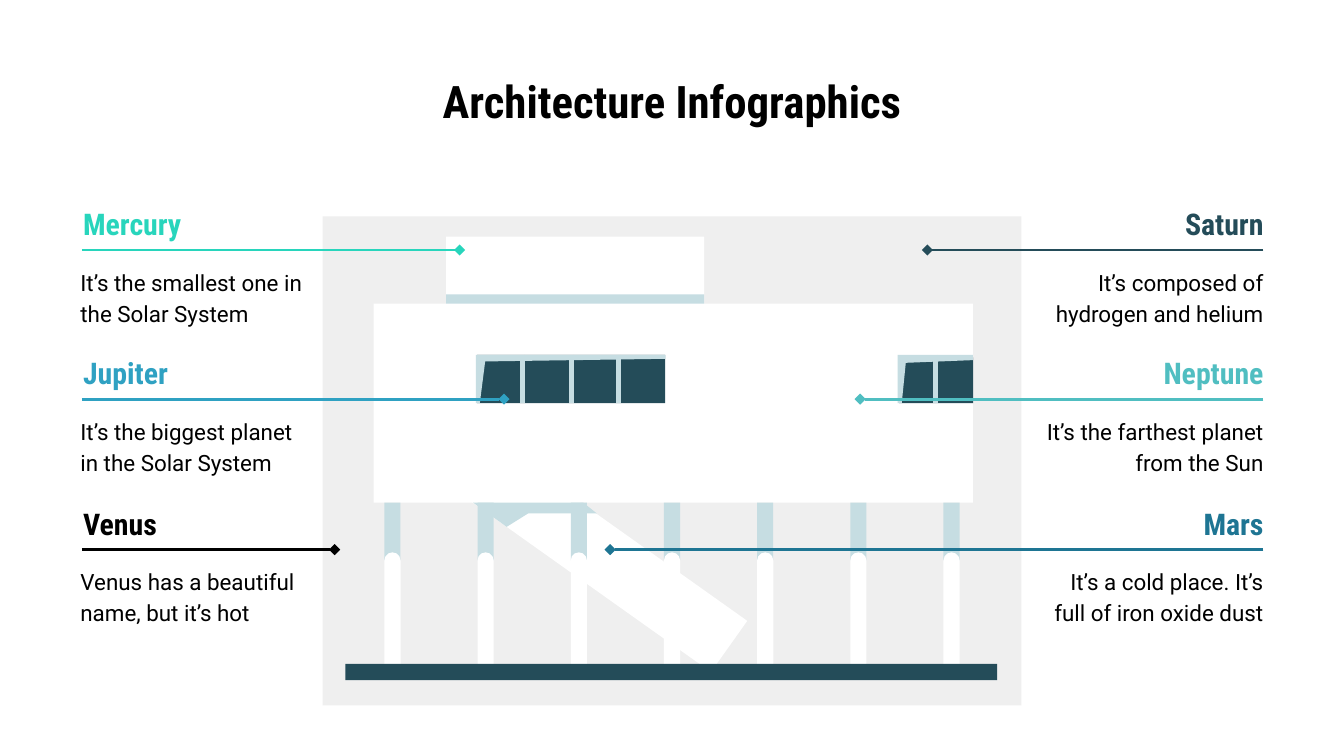
"""Build the Architecture Infographics slide: a house with six labelled callouts."""
from dataclasses import dataclass

from lxml import etree
from pptx import Presentation
from pptx.dml.color import RGBColor
from pptx.enum.shapes import MSO_CONNECTOR, MSO_SHAPE
from pptx.enum.text import MSO_ANCHOR, MSO_AUTO_SIZE, PP_ALIGN
from pptx.oxml.ns import qn
from pptx.util import Inches, Pt

RECTANGLE = MSO_SHAPE.RECTANGLE
ROUND_TOP = MSO_SHAPE.ROUND_2_SAME_RECTANGLE
STRAIGHT = MSO_CONNECTOR.STRAIGHT
LEFT, CENTER, RIGHT = PP_ALIGN.LEFT, PP_ALIGN.CENTER, PP_ALIGN.RIGHT
TOP, MIDDLE = MSO_ANCHOR.TOP, MSO_ANCHOR.MIDDLE


@dataclass(frozen=True)
class Theme:
    white: str = "FFFFFF"
    black: str = "000000"
    backdrop: str = "EFEFEF"
    shade: str = "C6DDE2"
    dark: str = "244C59"
    mint: str = "28D5BC"
    sky: str = "2FA1C2"
    teal: str = "50BEC1"
    ocean: str = "1E7593"
    heading_font: str = "Roboto Condensed"
    body_font: str = "Roboto"
    title_size: int = 24
    label_size: int = 16
    body_size: int = 12
    callout_width: float = 1.5
    mullion_width: float = 2.46


theme = Theme()
presentation = Presentation()
presentation.slide_width = Inches(10)
presentation.slide_height = Inches(10 * 9 / 16)
slide = presentation.slides.add_slide(presentation.slide_layouts[5])
shapes = slide.shapes


def paint(shape, color):
    shape.shadow.inherit = False
    shape.fill.solid()
    shape.fill.fore_color.rgb = RGBColor.from_string(color)
    shape.line.fill.background()


def add_block(left, top, width, height, color, kind=RECTANGLE):
    shape = shapes.add_shape(kind, Inches(left), Inches(top), Inches(width), Inches(height))
    paint(shape, color)
    return shape


ramp = [(3.59, 3.22), (3.32, 3.6), (5.29, 5), (5.56, 4.62)]
landing = [(3.52, 3.74), (3.77, 3.92), (3.93, 3.82), (4.44, 3.82), (4.34, 3.74)]
wide_frame = [(3.54, 2.64), (3.54, 3), (3.57, 3), (3.61, 2.69), (4.95, 2.67), (4.95, 2.64)]
narrow_frame = [(6.68, 2.64), (6.68, 3), (6.71, 3), (6.74, 2.7), (7.24, 2.68), (7.24, 2.64)]
house_parts = [
    ((2.4, 1.61, 5.2, 3.64), theme.backdrop),
    (ramp, theme.white),
    ((2.78, 2.26, 4.46, 1.48), theme.white),
    ((3.32, 1.76, 1.92, 0.51), theme.white),
    ((3.32, 2.19, 1.92, 0.07), theme.shade),
    (landing, theme.shade),
    ((3.55, 2.64, 1.4, 0.36), theme.dark),
    ((6.69, 2.66, 0.55, 0.34), theme.dark),
    (wide_frame, theme.shade),
    (narrow_frame, theme.shade),
]
for outline, color in house_parts:
    if isinstance(outline, tuple):
        add_block(*outline, color)
        continue
    points = [(Inches(x), Inches(y)) for x, y in outline]
    builder = shapes.build_freeform(*points[0], scale=1.0)
    builder.add_line_segments(points[1:], close=True)
    paint(builder.convert_to_shape(), color)

pillar_count = 7
first_pillar, last_pillar = 2.86, 7.02
pillar_step = (last_pillar - first_pillar) / (pillar_count - 1)
for index in range(pillar_count):
    pillar_left = first_pillar + index * pillar_step
    add_block(pillar_left, 3.74, 0.12, 0.43, theme.shade)
    pillar = add_block(pillar_left, 4.11, 0.12, 0.89, theme.white, ROUND_TOP)
    pillar.adjustments[0] = 0.5

add_block(2.57, 4.94, 4.85, 0.12, theme.dark)

row_tops = [1.48, 2.59, 3.71]
callouts = [
    (0, LEFT, "Mercury", "It’s the smallest one in the Solar System", theme.mint, 3.42),
    (1, LEFT, "Jupiter", "It’s the biggest planet in the Solar System", theme.sky, 3.75),
    (2, LEFT, "Venus", "Venus has a beautiful name, but it’s hot", theme.black, 2.49),
    (0, RIGHT, "Saturn", "It’s composed of hydrogen and helium", theme.dark, 6.9),
    (1, RIGHT, "Neptune", "It’s the farthest planet from the Sun", theme.teal, 6.4),
    (2, RIGHT, "Mars", "It’s a cold place. It’s full of iron oxide dust", theme.ocean, 4.54),
]

lines = [
    (x, 2.64, x, 3, theme.shade, theme.mullion_width, None)
    for x in (3.89, 4.25, 4.6, 6.96)
]
title = shapes.title
title.left, title.top, title.width, title.height = (
    Inches(0.5), Inches(0.45), Inches(9), Inches(0.44))
texts = [(title, "Architecture Infographics", theme.heading_font, theme.title_size,
          theme.black, CENTER, TOP, 1)]

for row, alignment, name, description, color, line_end in callouts:
    top = row_tops[row]
    label_left, body_left, line_start = (
        (0.52, 0.5, 0.61) if alignment == LEFT else (7.61, 7.61, 9.4))
    line_top = top + 0.38
    lines.append((line_start, line_top, line_end, line_top, color,
                  theme.callout_width, "diamond"))
    label = shapes.add_textbox(Inches(label_left), Inches(top), Inches(1.89), Inches(0.37))
    body = shapes.add_textbox(
        Inches(body_left), Inches(top + 0.39), Inches(1.89), Inches(0.62))
    texts.append((label, name, theme.heading_font, theme.label_size,
                  color, alignment, MIDDLE, 1))
    texts.append((body, description, theme.body_font, theme.body_size,
                  theme.black, alignment, TOP, 1.15))

for start_x, start_y, end_x, end_y, color, width, tail in lines:
    connector = shapes.add_connector(
        STRAIGHT, Inches(start_x), Inches(start_y), Inches(end_x), Inches(end_y))
    connector.line.color.rgb = RGBColor.from_string(color)
    connector.line.width = Pt(width)
    properties = connector._element.spPr
    if tail:
        etree.SubElement(properties.find(qn("a:ln")), qn("a:tailEnd"), type=tail)
    etree.SubElement(properties, qn("a:effectLst"))

for shape, text, font_name, size, color, alignment, anchor, spacing in texts:
    frame = shape.text_frame
    frame.text = text
    frame.word_wrap = True
    frame.auto_size = MSO_AUTO_SIZE.NONE
    frame.vertical_anchor = anchor
    frame.margin_left = frame.margin_right = Inches(0.1)
    frame.margin_top = frame.margin_bottom = Inches(0.1)
    paragraph = frame.paragraphs[0]
    paragraph.alignment = alignment
    paragraph.line_spacing = spacing
    font = paragraph.runs[0].font
    font.name = font_name
    font.size = Pt(size)
    font.bold = font_name == theme.heading_font
    font.color.rgb = RGBColor.from_string(color)

presentation.save("out.pptx")
